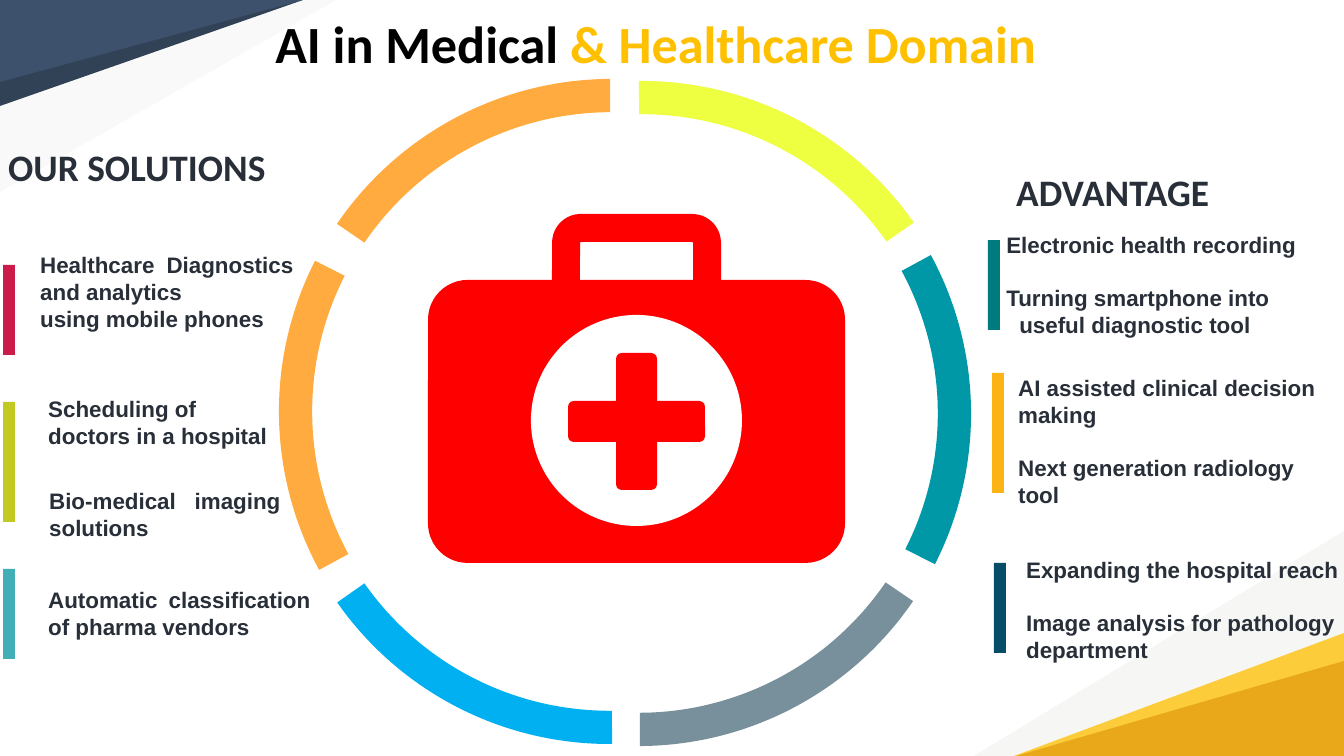
"""Build the slide on AI in the medical and healthcare domain."""
from lxml import etree
from pptx import Presentation
from pptx.dml.color import RGBColor
from pptx.enum import shapes, text
from pptx.oxml import ns
from pptx.util import Pt

theme = {
    "black": "000000", "gold": "FFC000", "ink": "282F39", "white": "FFFFFF",
    "red": "FF0000", "mist": "EDEDEB", "sun": "FCCC3B", "amber": "E8A81A",
    "navy": "314256", "slate": "3E516C", "rose": "CB1B4A", "lime": "C2C923",
    "aqua": "42AFB6", "teal": "007A7D", "corn": "FCB414", "deep": "074D67",
    "orange": "FFAB40", "sky": "00B0F0", "grey": "78909C", "lemon": "EEFF41",
    "sea": "0097A7",
    "title": {"name": "Calibri", "size": Pt(28), "bold": True},
    "head": {"name": "Calibri", "size": Pt(20), "bold": True},
    "body": {"name": "Arial", "size": Pt(12), "bold": True},
    "gap": Pt(13.8), "line": Pt(15),
}
kind = shapes.MSO_SHAPE
left, just = text.PP_ALIGN.LEFT, text.PP_ALIGN.JUSTIFY
wide, high = 1344, 756


def px(*nums):
    return [round(n * 914400 / 134.4) for n in nums]


def paint(shape, tone):
    shape.shadow.inherit = False
    shape.fill.solid()
    shape.fill.fore_color.rgb = RGBColor.from_string(theme[tone])
    shape.line.fill.background()
    return shape


deck = Presentation()
deck.slide_width, deck.slide_height = px(wide, high)
slide = deck.slides.add_slide(deck.slide_layouts[5])
draw = slide.shapes
title = draw.title

corners = [
    ((wide, high), (974, high), (wide, 531), "mist", 48),
    ((wide, high), (1014, high), (wide, 633), "sun", 100),
    ((wide, high), (1016, high), (wide, 661), "amber", 100),
    ((0, 0), (336, 0), (0, 192), "mist", 28),
    ((0, 0), (303, 0), (0, 106), "navy", 100),
    ((0, 0), (303, 0), (0, 82), "slate", 100),
]
for start, side, tip, tone, alpha in corners:
    pen = draw.build_freeform(*px(*start))
    pen.add_line_segments([px(*side), px(*tip)], close=True)
    wedge = paint(pen.convert_to_shape(), tone)
    if alpha < 100:
        clr = next(wedge._element.iter(ns.qn("a:srgbClr")))
        etree.SubElement(clr, ns.qn("a:alpha"), val=str(alpha * 1000))

draw._spTree.append(title._element)
title.left, title.top, title.width, title.height = px(262, 4, 1003, 97)
frame = title.text_frame
look = {"word_wrap": True, "auto_size": text.MSO_AUTO_SIZE.NONE,
        "vertical_anchor": text.MSO_ANCHOR.TOP}
for key, val in look.items():
    setattr(frame, key, val)
para = frame.paragraphs[0]
para.alignment = left
for words, tone in [("AI in Medical ", "black"), ("& Healthcare Domain", "gold")]:
    run = para.add_run()
    run.text = words
    for key, val in theme["title"].items():
        setattr(run.font, key, val)
    run.font.color.rgb = RGBColor.from_string(theme[tone])

bars = [
    (3, 265, 90, "rose"), (3, 402, 120, "lime"), (3, 569, 90, "aqua"),
    (988, 240, 90, "teal"), (992, 373, 120, "corn"), (994, 563, 90, "deep"),
]
for x, y, tall, tone in bars:
    paint(draw.add_shape(kind.RECTANGLE, *px(x, y, 12, tall)), tone)

notes = [
    (-5, 138, 543, 39, "head", just, [("OUR SOLUTIONS", 0, 0)]),
    (27, 245, 280, 89, "body", just,
     [("Healthcare Diagnostics and analytics", 0, 0), ("using mobile phones", 0, 0)]),
    (35, 389, 310, 67, "body", just,
     [("Scheduling of", 0, 0), ("doctors in a hospital", 0, 0)]),
    (36, 481, 258, 113, "body", just, [("Bio-medical imaging solutions", 0, 0)]),
    (35, 580, 289, 67, "body", just,
     [("Automatic classification of pharma vendors", 0, 0)]),
    (1003, 163, 341, 39, "head", just, [("ADVANTAGE", 0, 0)]),
    (993, 225, 351, 120, "body", just,
     [("Electronic health recording", 0, 0), ("Turning smartphone into", 1, 0),
      ("useful diagnostic tool", 0, 13)]),
    (1005, 368, 349, 148, "body", left,
     [("AI assisted clinical decision making", 0, 0),
      ("Next generation radiology tool", 1, 0)]),
    (1013, 550, 349, 121, "body", left,
     [("Expanding the hospital reach", 0, 0),
      ("Image analysis for pathology department", 1, 0)]),
]
for x, y, w, h, style, align, lines in notes:
    frame = draw.add_textbox(*px(x, y, w, h)).text_frame
    frame.word_wrap = True
    for i, (words, gap, dent) in enumerate(lines):
        para = frame.add_paragraph() if i else frame.paragraphs[0]
        para.alignment = align
        if gap:
            para.space_before = theme["gap"]
        if dent:
            para._p.get_or_add_pPr().set("marL", str(px(dent)[0]))
        run = para.add_run()
        run.text = words
        for key, val in theme[style].items():
            setattr(run.font, key, val)
        run.font.color.rgb = RGBColor.from_string(theme["ink"])

grip = draw.add_shape(kind.ROUNDED_RECTANGLE, *px(566, 228, 141, 105))
grip.shadow.inherit = False
grip.adjustments[0] = 0.14
grip.fill.background()
grip.line.color.rgb = RGBColor.from_string(theme["red"])
grip.line.width = theme["line"]

kit = [
    (kind.ROUNDED_RECTANGLE, 428, 280, 417, 283, "red"),
    (kind.OVAL, 531, 315, 211, 211, "white"),
    (kind.ROUNDED_RECTANGLE, 616, 353, 41, 137, "red"),
    (kind.ROUNDED_RECTANGLE, 568, 401, 137, 41, "red"),
]
for form, x, y, w, h, tone in kit:
    part = paint(draw.add_shape(form, *px(x, y, w, h)), tone)
    if form == kind.ROUNDED_RECTANGLE:
        part.adjustments[0] = 0.14

arcs = [
    (279, 79, 50.8, "orange"), (277, 79, 286, "sky"), (279, 79, 348, "orange"),
    (306, 81, 230.8, "grey"), (309, 81, 106, "lemon"), (306, 81, 168, "sea"),
]
for x, y, turn, tone in arcs:
    arc = paint(draw.add_shape(kind.BLOCK_ARC, *px(x, y, 665, 665)), tone)
    arc.rotation = turn
    for i, val in enumerate((98.12, 131.37, 0.05)):
        arc.adjustments[i] = val

deck.save("out.pptx")
